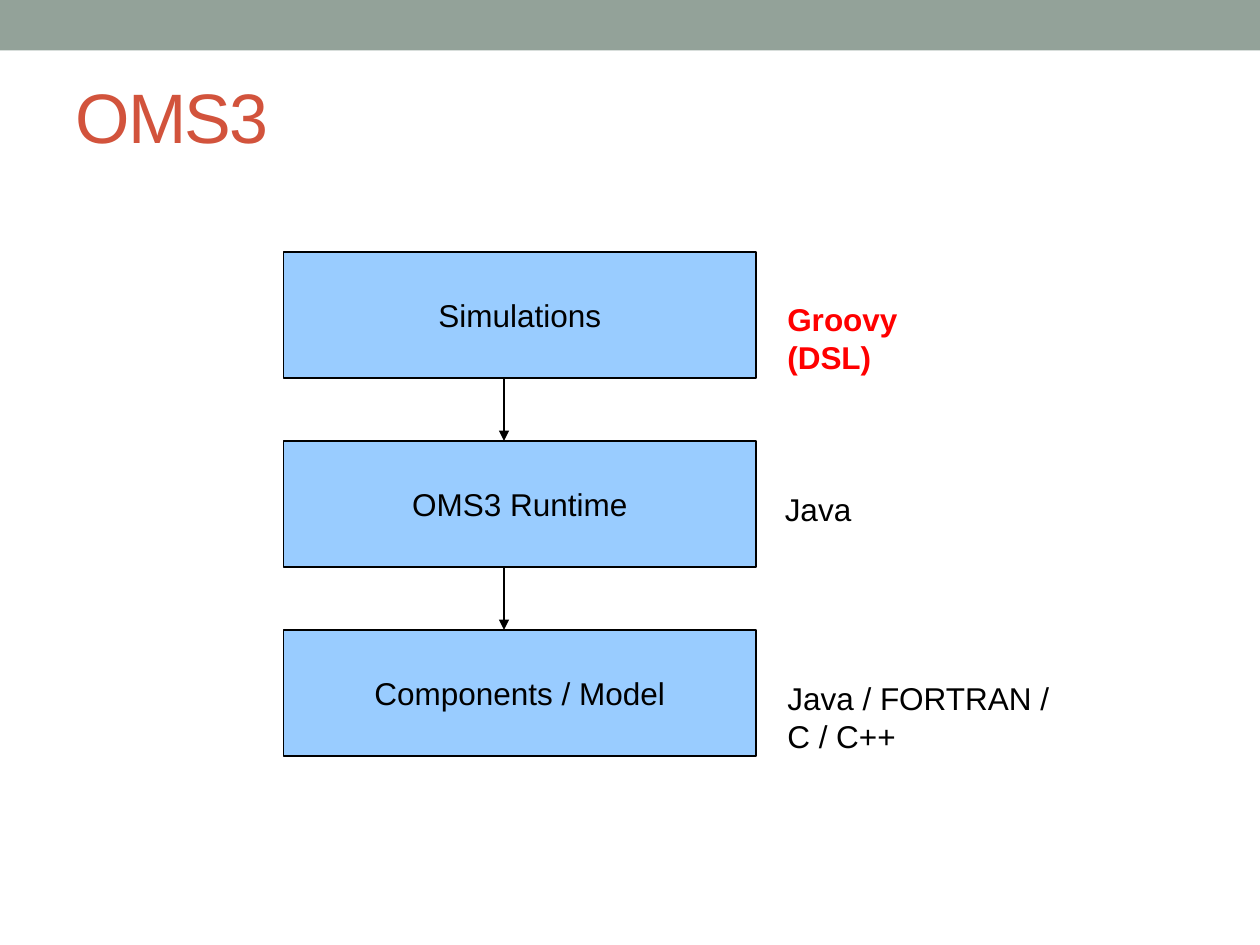
from pptx import Presentation
from pptx.dml.color import RGBColor
from pptx.enum import shapes, text
from pptx.oxml.ns import qn
from pptx.util import Inches, Pt
from lxml import etree

COLORS = {"band": "93A299", "title": "D2533C", "box": "99CCFF",
          "ink": "000000", "accent": "FF0000"}
TITLE = "OMS3"
# layer name, language label, label (left, offset from box top, width, height), highlighted
LAYERS = [
    ("Simulations", "Groovy (DSL)", (6.15, 0.33, 1.72, 0.5), True),
    ("OMS3 Runtime", "Java", (6.13, 0.34, 0.79, 0.41), False),
    ("Components / Model", "Java / FORTRAN / C / C++", (6.15, 0.34, 2.52, 0.41), False),
]
BOX_LEFT, BOX_TOP, BOX_W, BOX_H, GAP = 2.25, 2, 3.75, 1, 0.5
ARROW_X = 4


def rgb(name):
    return RGBColor.from_string(COLORS[name])


def write(sp, words, size, color, align, anchor, bold=False, wrap=False):
    tf = sp.text_frame
    tf.text = words
    tf.word_wrap = wrap
    tf.vertical_anchor = anchor
    p = tf.paragraphs[0]
    p.alignment = align
    r = p.runs[0]
    r.font.name = "Arial"
    r.font.size = Pt(size)
    r.font.bold = bold
    r.font.color.rgb = rgb(color)
    return r


def add_rect(s, left, top, width, height, fill, line=None):
    sp = s.shapes.add_shape(shapes.MSO_SHAPE.RECTANGLE, Inches(left), Inches(top),
                            Inches(width), Inches(height))
    sp.shadow.inherit = False
    sp.fill.solid()
    sp.fill.fore_color.rgb = rgb(fill)
    if line:
        sp.line.color.rgb = rgb(line)
        sp.line.width = Pt(0.75)
    else:
        sp.line.fill.background()
    return sp


def add_arrow(s, x, top, bottom):
    c = s.shapes.add_connector(shapes.MSO_CONNECTOR.STRAIGHT, Inches(x), Inches(top),
                               Inches(x), Inches(bottom))
    c.line.color.rgb = rgb("ink")
    c.line.width = Pt(0.75)
    etree.SubElement(c.line._get_or_add_ln(), qn("a:tailEnd"), type="triangle")
    etree.SubElement(c._element.spPr, qn("a:effectLst"))


def main():
    prs = Presentation()
    prs.slide_width, prs.slide_height = Inches(10), Inches(7.5)
    s = prs.slides.add_slide(prs.slide_layouts[5])
    left, middle, top_anchor = text.PP_ALIGN.LEFT, text.MSO_ANCHOR.MIDDLE, text.MSO_ANCHOR.TOP

    add_rect(s, 0, 0, 10, 0.4, "band")

    title = s.shapes.title
    title.left, title.top = Inches(0.5), Inches(0.17)
    title.width, title.height = Inches(6.33), Inches(1.5)
    r = write(title, TITLE, 40, "title", left, middle, wrap=True)
    r.font._element.set("spc", "-100")

    for i, (layer, language, (x, dy, w, h), highlighted) in enumerate(LAYERS):
        y = BOX_TOP + i * (BOX_H + GAP)
        box = add_rect(s, BOX_LEFT, y, BOX_W, BOX_H, "box", "ink")
        write(box, layer, 18, "ink", text.PP_ALIGN.CENTER, middle)
        label = s.shapes.add_textbox(Inches(x), Inches(y + dy), Inches(w), Inches(h))
        write(label, language, 18, "accent" if highlighted else "ink", left,
              top_anchor, bold=highlighted)
        if i:
            add_arrow(s, ARROW_X, y - GAP, y)

    prs.save("out.pptx")


if __name__ == "__main__":
    main()
